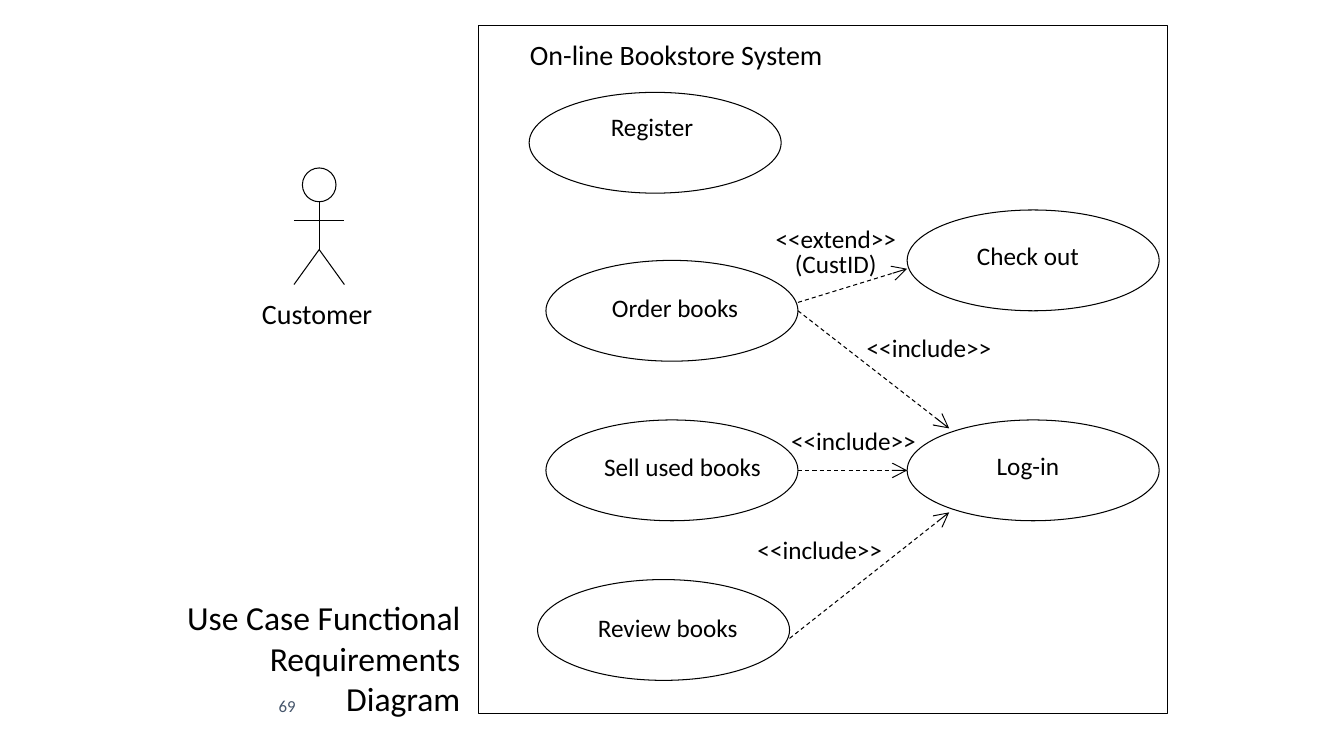
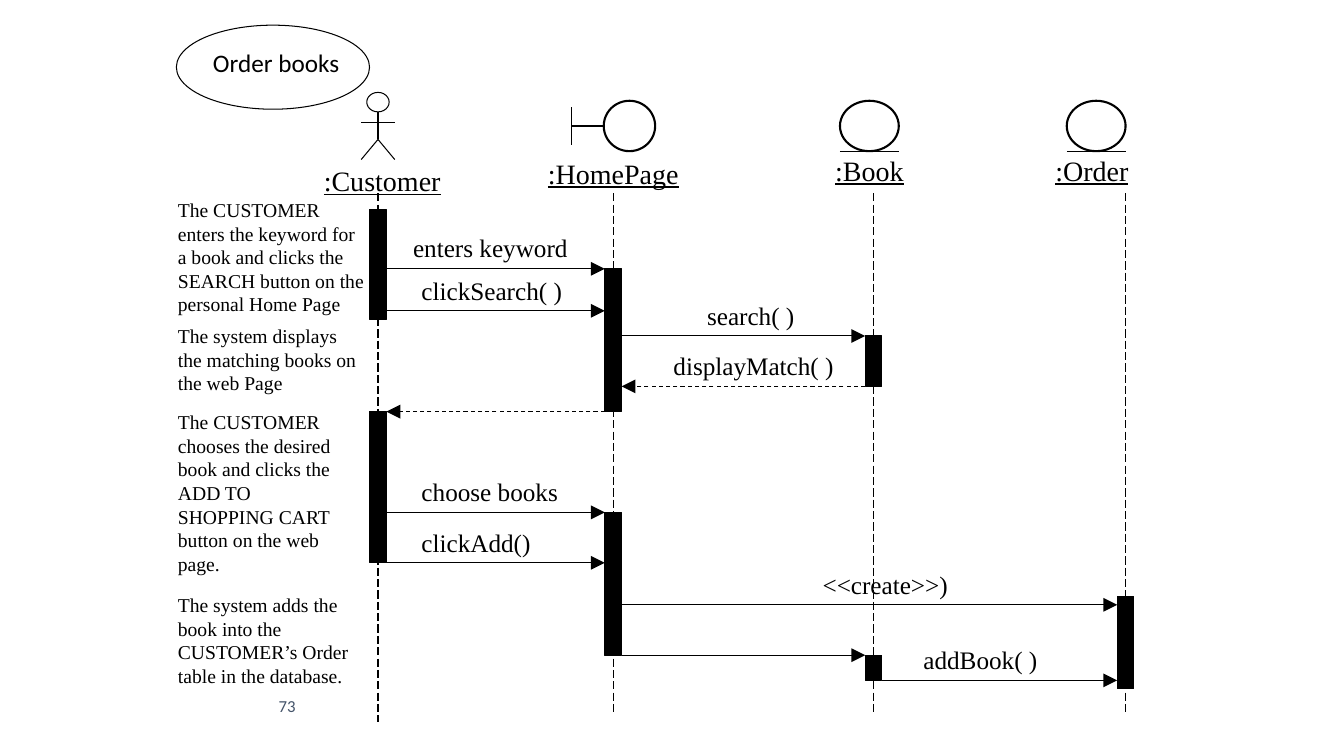
import pptx
import pptx.util
import pptx.dml.color
import pptx.enum.dml
import pptx.enum.shapes
import pptx.enum.text
import pptx.oxml
import pptx.oxml.ns

PX = 9525  # EMU in one px, 96 px to the inch
BLACK = pptx.dml.color.RGBColor(0x00, 0x00, 0x00)
SLATE = pptx.dml.color.RGBColor(0x44, 0x54, 0x6A)
SANS, SERIF = "Calibri", "Times New Roman"
SHAPE = pptx.enum.shapes.MSO_SHAPE
DASH = pptx.enum.dml.MSO_LINE.DASH
LONG = pptx.enum.dml.MSO_LINE.LONG_DASH
MID = pptx.enum.text.MSO_ANCHOR.MIDDLE
LEFT = pptx.enum.text.PP_ALIGN.LEFT
CENTER = pptx.enum.text.PP_ALIGN.CENTER
RIGHT = pptx.enum.text.PP_ALIGN.RIGHT

# Text formats
PAGE = {"name": SANS, "size": 12}
CASE = {"name": SANS, "size": 18}
NAME = {"name": SANS, "size": 20}
TITLE = {"name": SANS, "size": 24}
NOTE = {"name": SERIF, "size": 14}
CALL = {"name": SERIF, "size": 18}
HEAD = {"name": SERIF, "size": 20, "underline": True}


def emu(*sizes):
    return [round(size * PX) for size in sizes]


def text(slide, box, words, form, align=LEFT, color=BLACK, anchor=None, lead=None):
    frame = slide.shapes.add_textbox(*emu(*box)).text_frame
    frame.word_wrap = True
    if anchor is not None:
        frame.vertical_anchor = anchor
    frame.text = words
    for para in frame.paragraphs:
        para.alignment = align
        if lead:
            para.line_spacing = lead
        for key, value in form.items():
            setattr(para.font, key, pptx.util.Pt(value) if key == "size" else value)
        para.font.color.rgb = color


def shape(slide, kind, box, fill=None, width=0.75):
    item = slide.shapes.add_shape(kind, *emu(*box))
    item.shadow.inherit = False
    if fill is None:
        item.fill.background()
    else:
        item.fill.solid()
        item.fill.fore_color.rgb = fill
    item.line.color.rgb = BLACK
    item.line.width = pptx.util.Pt(width)


def line(slide, start, end, dash=None, tip=None):
    item = slide.shapes.add_connector(
        pptx.enum.shapes.MSO_CONNECTOR.STRAIGHT, *emu(*start, *end))
    item.line.color.rgb = BLACK
    item.line.width = pptx.util.Pt(0.75)
    if dash is not None:
        item.line.dash_style = dash
    props = item._element.spPr
    if tip:
        tail = pptx.oxml.parse_xml(
            f'<a:tailEnd {pptx.oxml.ns.nsdecls("a")} type="{tip}" w="lg" len="lg"/>')
        props.find(pptx.oxml.ns.qn("a:ln")).append(tail)
    props.append(pptx.oxml.parse_xml(f'<a:effectLst {pptx.oxml.ns.nsdecls("a")}/>'))


def page(deck, number):
    slide = deck.slides.add_slide(deck.slide_layouts[6])
    text(slide, (256, 648, 416, 48), number, PAGE, color=SLATE, anchor=MID)
    return slide


def actor(slide, box):
    x, y, w, h = box
    mid, foot = x + w / 2, y + h
    neck, arm, hip = y + h * 0.29, y + h * 0.45, y + h * 0.7
    shape(slide, SHAPE.OVAL, (x + w / 6, y, w * 2 / 3, neck - y))
    for start, end in (((mid, neck), (mid, hip)), ((x, arm), (x + w, arm)),
                       ((mid, hip), (x, foot)), ((mid, hip), (x + w, foot))):
        line(slide, start, end)


def case(slide, box, words, mid, top):
    """Oval whose label is centred at mid and starts at top, from its corner."""
    x, y = box[:2]
    shape(slide, SHAPE.OVAL, box)
    text(slide, (x + mid - 96, y + top, 192, 38), words, CASE, CENTER)


def system(slide, box):
    x, y, w, h = box
    shape(slide, SHAPE.RECTANGLE, box)
    text(slide, (x + 8, y + 7, 360, 41), "On-line Bookstore System", NAME, CENTER)
    # Use cases
    for left, top, words, mid, drop in (
            (48, 64, "Register", 117, 13),
            (64, 224, "Order books", 123, 26),
            (64, 376, "Sell used books", 130, 25),
            (56, 528, "Review books", 124, 26),
            (408, 176, "Check out", 115, 24),
            (408, 376, "Log-in", 115, 24)):
        case(slide, (x + left, y + top, 240, 96), words, mid, drop)
    # Dependencies
    for x1, y1, x2, y2 in ((304, 264, 408, 232), (304, 272, 448, 384),
                           (304, 424, 408, 424), (296, 584, 448, 464)):
        line(slide, (x + x1, y + y1), (x + x2, y + y2), DASH, "arrow")
    for left, top in ((360, 288), (288, 376), (256, 480)):
        text(slide, (x + left, y + top, 152, 38), "<<include>>", CASE)
    text(slide, (x + 264, y + 188, 152, 60), "<<extend>>\n(CustID)", CASE, CENTER, lead=0.85)


def entity(slide, box):
    x, y, w, h = box
    shape(slide, SHAPE.OVAL, box, width=1.5)
    line(slide, (x, y + h), (x + w, y + h))


def screen(slide, box):
    x, y, w, h = box
    mid = y + h / 2
    shape(slide, SHAPE.OVAL, (x + 31, y, w - 31, h), width=1.5)
    line(slide, (x, mid), (x + 31, mid))
    line(slide, (x, mid - 18), (x, mid + 18))


def notes(slide, box):
    x, y, w, h = box
    for top, wide, high, words in (
            (0, w, 123, "The CUSTOMER enters the keyword for a book and clicks the\n"
                        "SEARCH button on the personal Home Page"),
            (120, 192, 78, "The system displays the matching books on the web Page"),
            (202, 176, 168, "The CUSTOMER chooses the desired book and clicks the "
                            "ADD TO SHOPPING CART button on the web page."),
            (376, 192, 100, "The system adds the book into the CUSTOMER’s Order "
                            "table in the database.")):
        text(slide, (x, y + top, wide, high), words, NOTE)


def sequence(slide, box):
    x, y, w, h = box
    lanes = [x + step for step in (0, 224, 472, 712)]
    # Names and lifelines
    for lane, shift, top, words in zip(
            lanes, (4, 0, -4, -32), (-33, -40, -43, -43),
            (":Customer", ":HomePage", ":Book", ":Order")):
        text(slide, (lane + shift - 88, y + top, 176, 41), words, HEAD, CENTER)
        line(slide, (lane, y), (lane, y + h + (8 if lane == x else 0)), LONG)
    # Activation bars
    for lane, top, high in ((0, 16, 104), (0, 208, 144), (1, 72, 136), (1, 304, 136),
                            (2, 136, 48), (2, 440, 24), (3, 384, 88)):
        shape(slide, SHAPE.RECTANGLE, (lanes[lane] - 8, y + top, 16, high), BLACK)
    # Messages; a reply runs to the left and is dashed
    for start, end, top, shift, words in (
            (0, 1, 72, 24, "enters keyword"),
            (0, 1, 112, 32, "clickSearch( )"),
            (1, 2, 136, 80, "search( )"),
            (2, 1, 184, 48, "displayMatch( )"),
            (1, 0, 208, 0, ""),
            (0, 1, 304, 32, "choose books"),
            (0, 1, 352, 32, "clickAdd()"),
            (1, 3, 392, 190, "<<create>>)"),
            (1, 2, 440, 0, ""),
            (2, 3, 464, 38, "addBook( )")):
        side = 8 if start < end else -8
        line(slide, (lanes[start] + side, y + top), (lanes[end] - side, y + top),
             DASH if side < 0 else None, "triangle")
        if words:
            left = lanes[min(start, end)] + shift
            text(slide, (left, y + top - 39, 184, 38), words, CALL)


def usecase(deck):
    slide = page(deck, "69")
    actor(slide, (280, 160, 48, 111))
    text(slide, (240, 278, 144, 41), "Customer", NAME)
    system(slide, (456, 24, 656, 656))
    text(slide, (160, 564, 288, 126), "Use Case Functional Requirements Diagram", TITLE, RIGHT)


def order(deck):
    slide = page(deck, "73")
    case(slide, (168, 24, 184, 80), "Order books", 95, 16)
    actor(slide, (344, 88, 32, 64))
    screen(slide, (544, 96, 80, 48))
    for left in (800, 1016):
        entity(slide, (left, 96, 56, 48))
    sequence(slide, (360, 184, 712, 496))
    notes(slide, (160, 184, 200, 476))


def main():
    deck = pptx.Presentation()
    deck.slide_width, deck.slide_height = emu(1280, 720)
    usecase(deck)
    order(deck)
    deck.save("out.pptx")


if __name__ == "__main__":
    main()
